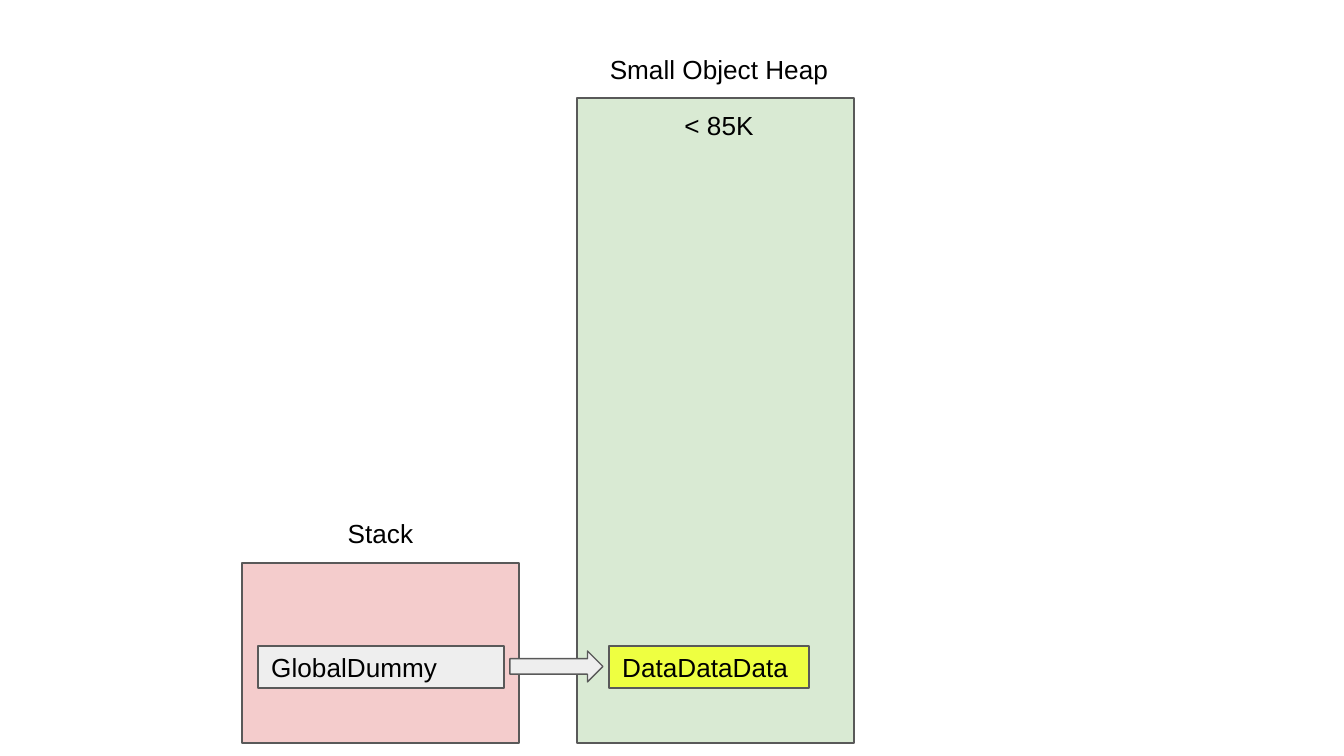
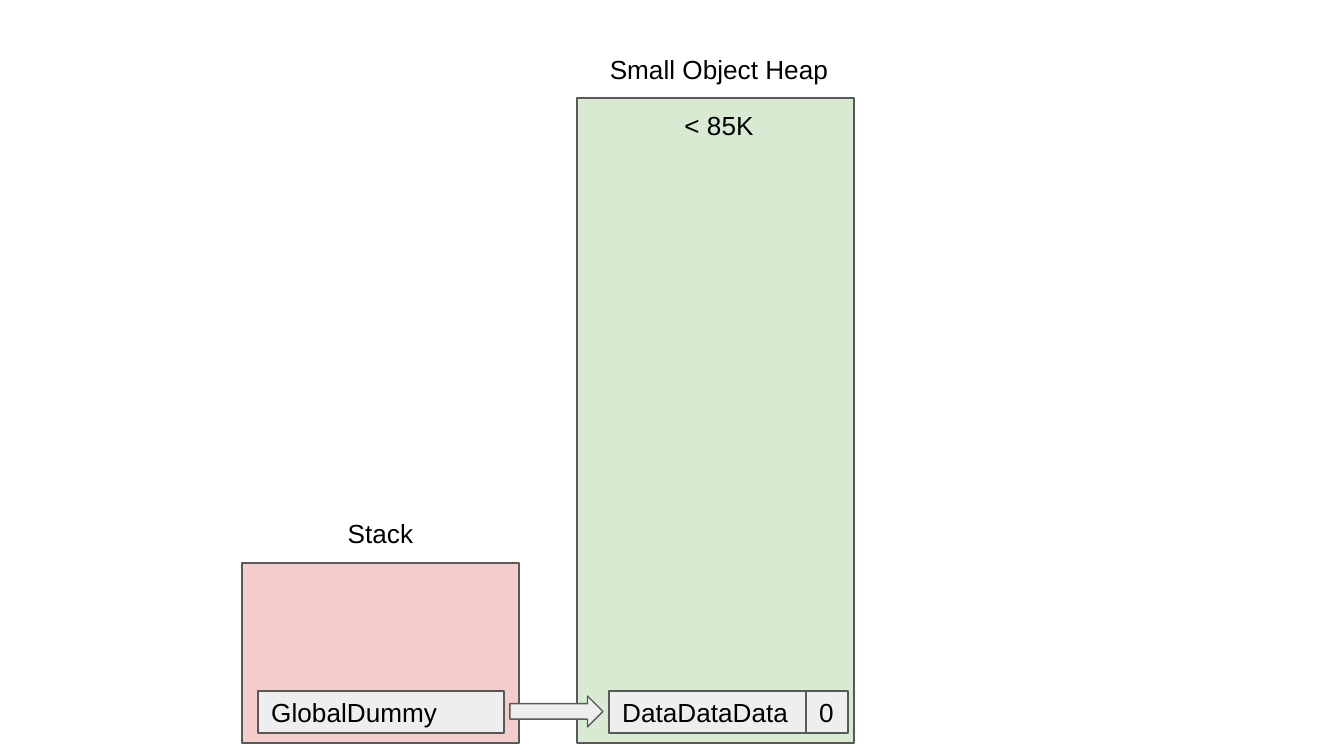
from pptx import Presentation
from pptx.dml.color import RGBColor
from pptx.enum.shapes import MSO_SHAPE
from pptx.enum.text import MSO_ANCHOR, MSO_AUTO_SIZE, PP_ALIGN
from pptx.util import Inches, Pt

RECT, ARROW = MSO_SHAPE.RECTANGLE, MSO_SHAPE.RIGHT_ARROW
MIDDLE, TOP = MSO_ANCHOR.MIDDLE, MSO_ANCHOR.TOP
LEFT, CENTER = PP_ALIGN.LEFT, PP_ALIGN.CENTER
GROW = MSO_AUTO_SIZE.SHAPE_TO_FIT_TEXT
BLACK = RGBColor(0x00, 0x00, 0x00)
GRAY = RGBColor(0x59, 0x59, 0x59)
PALE = RGBColor(0xEE, 0xEE, 0xEE)
PINK = RGBColor(0xF4, 0xCC, 0xCC)
GREEN = RGBColor(0xD9, 0xEA, 0xD3)
YELLOW = RGBColor(0xEE, 0xFF, 0x41)
SCALE = 914400 / 134.4
CELL = 42


def emu(*sizes):
    return [round(size * SCALE) for size in sizes]


class Board:
    """Draws the memory diagram in one style on the current slide."""

    def __init__(self):
        self.deck = Presentation()
        self.deck.slide_width, self.deck.slide_height = emu(1344, 756)

    def start(self):
        self.slide = self.deck.slides.add_slide(self.deck.slide_layouts[6])

    def letter(self, shape, text, align, anchor):
        frame = shape.text_frame
        frame.word_wrap = True
        frame.vertical_anchor = anchor
        frame.margin_left = frame.margin_right = Inches(0.1)
        frame.margin_top = frame.margin_bottom = Inches(0.1)
        frame.text = text
        line = frame.paragraphs[0]
        line.alignment = align
        for run in line.runs:
            run.font.name = "Arial"
            run.font.size = Pt(14)
            run.font.color.rgb = BLACK

    def block(self, left, top, width, height, fill, kind=RECT):
        shape = self.slide.shapes.add_shape(kind, *emu(left, top, width, height))
        shape.shadow.inherit = False
        shape.fill.solid()
        shape.fill.fore_color.rgb = fill
        shape.line.color.rgb = GRAY
        shape.line.width = Pt(0.75)
        return shape

    def label(self, left, top, width, text):
        box = self.slide.shapes.add_textbox(*emu(left, top, width, 59))
        self.letter(box, text, CENTER, TOP)
        box.text_frame.auto_size = GROW

    def cell(self, left, top, width, text, fill=PALE):
        shape = self.block(left, top, width, CELL, fill)
        self.letter(shape, text, LEFT, MIDDLE)

    def memory(self, row, fill):
        self.start()
        self.block(242, 563, 277, 180, PINK)
        self.block(577, 98, 277, 645, GREEN)
        self.label(273, 504, 215, "Stack")
        self.label(584, 40, 270, "Small Object Heap")
        self.label(584, 96, 270, "< 85K")
        self.cell(258, row, 246, "GlobalDummy")
        self.block(510, row + 5, 93, 31, PALE, ARROW)
        self.cell(609, row, 200, "DataDataData", fill)


board = Board()
board.memory(646, YELLOW)
board.memory(691, PALE)
board.cell(806, 691, CELL, "0")
board.deck.save("out.pptx")
